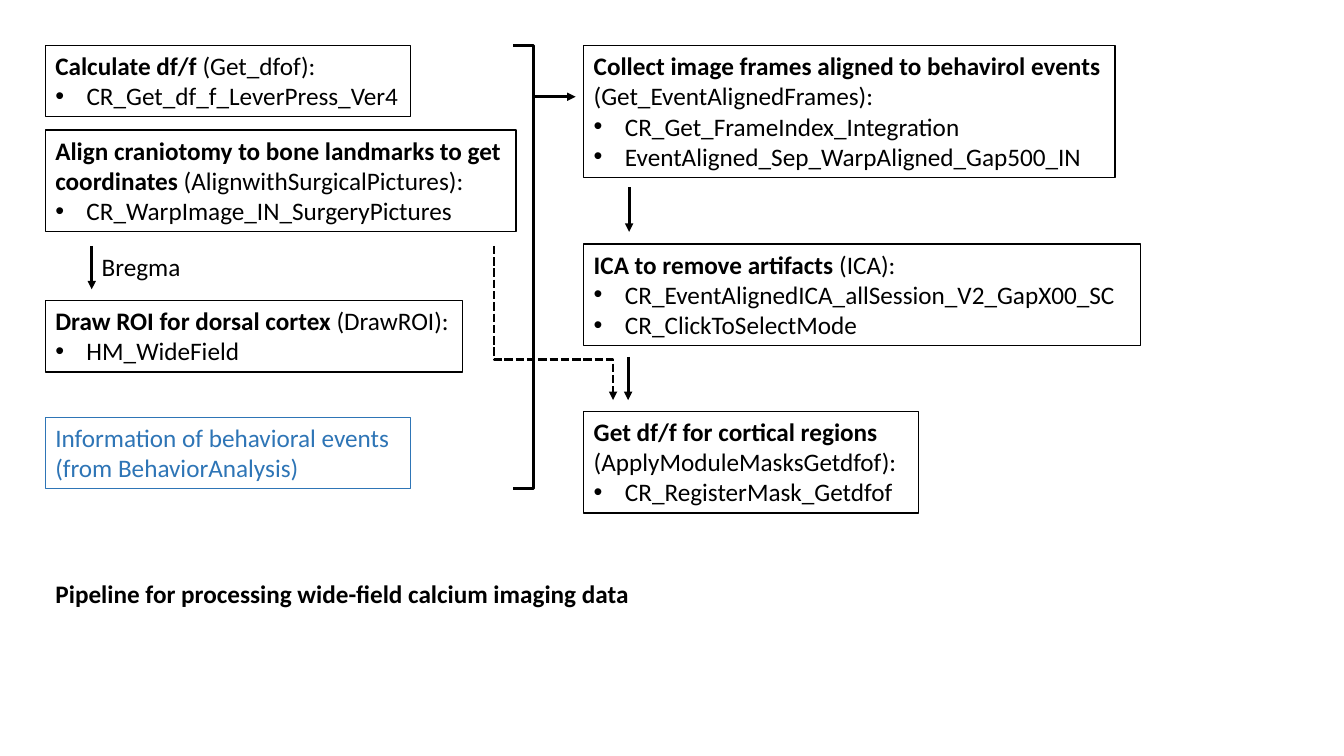
from lxml import etree
from pptx import Presentation
from pptx.dml.color import RGBColor
from pptx.enum.dml import MSO_LINE
from pptx.enum.shapes import MSO_CONNECTOR, MSO_SHAPE
from pptx.enum.text import MSO_ANCHOR, MSO_AUTO_SIZE, PP_ALIGN
from pptx.oxml.ns import qn
from pptx.util import Inches, Pt

STRAIGHT, ELBOW = MSO_CONNECTOR.STRAIGHT, MSO_CONNECTOR.ELBOW
RECTANGLE, BRACKET = MSO_SHAPE.RECTANGLE, MSO_SHAPE.RIGHT_BRACKET
TOP, MIDDLE = MSO_ANCHOR.TOP, MSO_ANCHOR.MIDDLE

COLORS = {"ink": "000000", "input": "2E75B6", "paper": "FFFFFF"}
FONT, FONT_SIZE = "Calibri", 18
LEFT_COLUMN, RIGHT_COLUMN = 0.45, 5.79
LINE_HEIGHT, BOX_PADDING = 0.3, 0.11
BULLET_INDENT = 0.31

# Content: left, top, width, text lines, line width, color, bold text, plain text, bullets
STEPS = [
    (LEFT_COLUMN, 0.45, 3.62, 2, 0.75, "ink", "Calculate df/f ", "(Get_dfof):",
     ["CR_Get_df_f_LeverPress_Ver4"]),
    (LEFT_COLUMN, 1.29, 4.67, 3, 1, "ink",
     "Align craniotomy to bone landmarks to get coordinates",
     " (AlignwithSurgicalPictures):", ["CR_WarpImage_IN_SurgeryPictures"]),
    (LEFT_COLUMN, 2.98, 4.14, 2, 1, "ink", "Draw ROI for dorsal cortex", " (DrawROI):",
     ["HM_WideField"]),
    (LEFT_COLUMN, 4.14, 3.62, 2, 0.75, "input", "",
     "Information of behavioral events (from BehaviorAnalysis)", []),
    (RIGHT_COLUMN, 0.45, 5.27, 4, 1, "ink",
     "Collect image frames aligned to behavirol events ", "(Get_EventAlignedFrames):",
     ["CR_Get_FrameIndex_Integration", "EventAligned_Sep_WarpAligned_Gap500_IN"]),
    (RIGHT_COLUMN, 2.42, 5.52, 3, 1, "ink", "ICA to remove artifacts ", "(ICA):",
     ["CR_EventAlignedICA_allSession_V2_GapX00_SC", "CR_ClickToSelectMode"]),
    (RIGHT_COLUMN, 4.08, 3.32, 3, 1, "ink", "Get df/f for cortical regions ",
     "(ApplyModuleMasksGetdfof):", ["CR_RegisterMask_Getdfof"]),
]
TITLE = "Pipeline for processing wide-field calcium imaging data"
ARROWS = [  # start x, start y, end x, end y
    (0.91, 2.44, 0.91, 2.87),
    (5.29, 0.96, 5.71, 0.96),
    (6.24, 1.86, 6.24, 2.3),
    (6.23, 3.54, 6.23, 3.97),
]
DASHED_ARROW = (4.9, 2.44, 6.08, 3.97)
DASHED_BEND = 0.737  # share of the height at which the arrow turns


def rgb(name):
    return RGBColor.from_string(COLORS[name])


def add_run(paragraph, text, color="ink", bold=False):
    run = paragraph.add_run()
    run.text = text
    run.font.name, run.font.size, run.font.bold = FONT, Pt(FONT_SIZE), bold
    run.font.color.rgb = rgb(color)


def prepare_frame(shape, wrap, anchor):
    frame = shape.text_frame
    frame.word_wrap = wrap
    frame.auto_size = MSO_AUTO_SIZE.NONE
    frame.vertical_anchor = anchor
    frame.margin_left = frame.margin_right = Inches(0.1)
    frame.margin_top = frame.margin_bottom = Inches(0.05)
    paragraph = frame.paragraphs[0]
    paragraph.alignment = PP_ALIGN.LEFT
    paragraph.line_spacing = 1.0
    return frame


def add_bullet(frame, text):
    paragraph = frame.add_paragraph()
    paragraph.alignment = PP_ALIGN.LEFT
    properties = paragraph._p.get_or_add_pPr()
    properties.set("marL", str(Inches(BULLET_INDENT)))
    properties.set("indent", str(-Inches(BULLET_INDENT)))
    etree.SubElement(properties, qn("a:buFont")).set("typeface", "Arial")
    etree.SubElement(properties, qn("a:buChar")).set("char", "•")
    add_run(paragraph, text)


def add_step(shapes, left, top, width, lines, line_width, color, bold, plain, bullets):
    height = lines * LINE_HEIGHT + BOX_PADDING
    box = shapes.add_shape(RECTANGLE, Inches(left), Inches(top), Inches(width), Inches(height))
    box.shadow.inherit = False
    box.fill.solid()
    box.fill.fore_color.rgb = rgb("paper")
    box.line.color.rgb = rgb(color)
    box.line.width = Pt(line_width)
    frame = prepare_frame(box, True, TOP)
    if bold:
        add_run(frame.paragraphs[0], bold, color, bold=True)
    add_run(frame.paragraphs[0], plain, color)
    for bullet in bullets:
        add_bullet(frame, bullet)


def add_arrow(shapes, kind, *ends):
    arrow = shapes.add_connector(kind, *map(Inches, ends))
    arrow.line.color.rgb = rgb("ink")
    arrow.line.width = Pt(2)
    etree.SubElement(arrow.line._get_or_add_ln(), qn("a:tailEnd")).set("type", "triangle")
    etree.SubElement(arrow._element.spPr, qn("a:effectLst"))
    return arrow


def add_dashed_arrow(shapes, start_x, start_y, end_x, end_y):
    # A quarter turn makes the elbow leave downwards, so width and height swap
    middle_x, middle_y = (start_x + end_x) / 2, (start_y + end_y) / 2
    half_width, half_height = (end_y - start_y) / 2, (end_x - start_x) / 2
    arrow = add_arrow(shapes, ELBOW, middle_x + half_width, middle_y - half_height,
                      middle_x - half_width, middle_y + half_height)
    arrow.line.dash_style = MSO_LINE.SQUARE_DOT
    properties = arrow._element.spPr
    properties.find(qn("a:xfrm")).set("rot", str(270 * 60000))
    guide = etree.SubElement(properties.find(qn("a:prstGeom")).find(qn("a:avLst")), qn("a:gd"))
    guide.set("name", "adj1")
    guide.set("fmla", f"val {round(DASHED_BEND * 100000)}")


def main():
    presentation = Presentation()
    presentation.slide_width, presentation.slide_height = Inches(13.33), Inches(7.5)
    slide = presentation.slides.add_slide(presentation.slide_layouts[5])
    shapes = slide.shapes

    # Title below the diagram
    title = shapes.title
    title.left, title.top = Inches(LEFT_COLUMN), Inches(5.69)
    title.width, title.height = Inches(5.94), Inches(0.4)
    add_run(prepare_frame(title, False, TOP).paragraphs[0], TITLE, bold=True)

    # Processing steps
    for step in STEPS:
        add_step(shapes, *step)

    # Bracket that gathers the left column
    bracket = shapes.add_shape(BRACKET, Inches(5.09), Inches(0.45), Inches(0.2), Inches(4.4))
    bracket.adjustments[0] = 0
    bracket.shadow.inherit = False
    bracket.fill.background()
    bracket.line.color.rgb = rgb("ink")
    bracket.line.width = Pt(2)

    # Arrows and their label
    for ends in ARROWS:
        add_arrow(shapes, STRAIGHT, *ends)
    add_dashed_arrow(shapes, *DASHED_ARROW)
    label = shapes.add_textbox(Inches(0.91), Inches(2.44), Inches(0.99), Inches(0.4))
    add_run(prepare_frame(label, False, MIDDLE).paragraphs[0], "Bregma")

    presentation.save("out.pptx")


if __name__ == "__main__":
    main()
